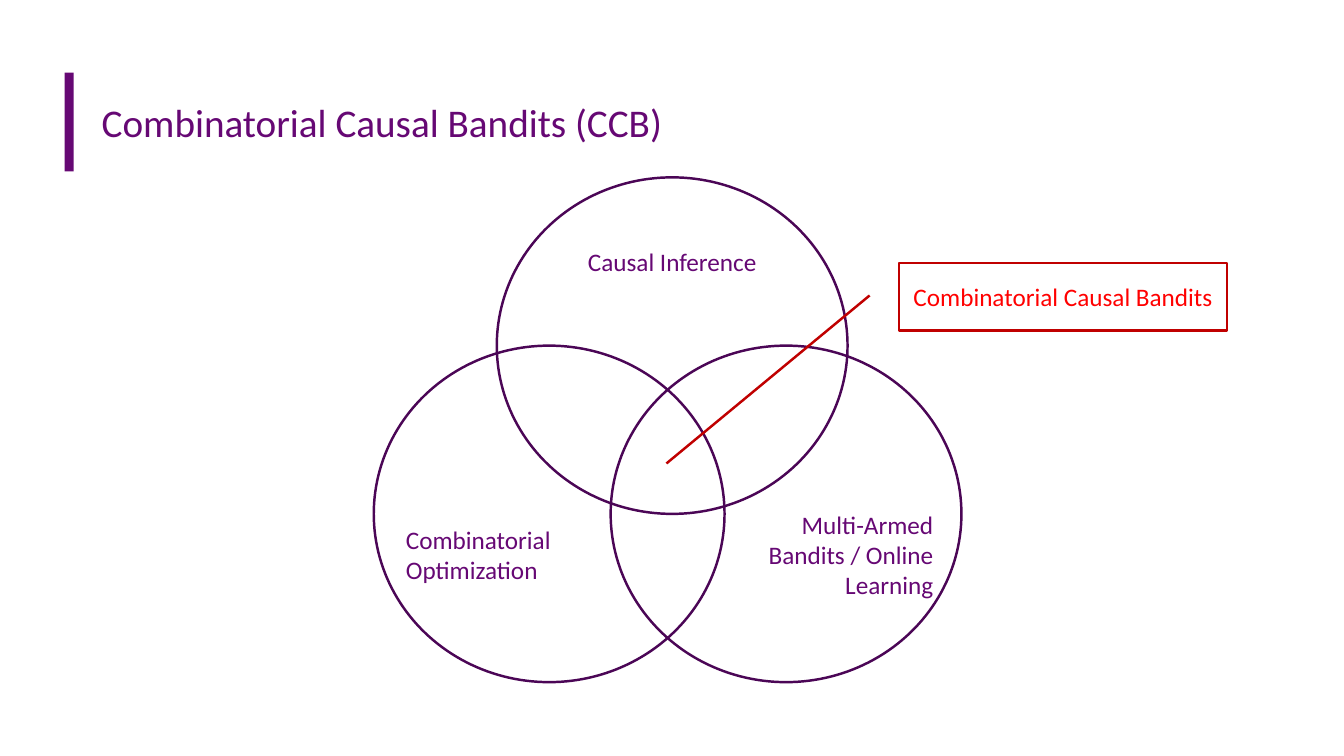
from pptx import Presentation
from pptx.dml.color import RGBColor
from pptx.enum.shapes import MSO_SHAPE as Shape
from pptx.enum.text import MSO_ANCHOR as Anchor, MSO_AUTO_SIZE as Fit, PP_ALIGN as Align
from pptx.util import Cm, Pt

PURPLE = RGBColor(0x66, 0x08, 0x74)
DARK = RGBColor(0x4B, 0x06, 0x56)
CRIMSON = RGBColor(0xC0, 0x00, 0x00)
RED = RGBColor(0xFF, 0x00, 0x00)
WHITE = RGBColor(0xFF, 0xFF, 0xFF)

FONT = "Calibri"
RINGS = [(12.52, 4.47), (9.42, 8.71), (15.39, 8.71)]
LABELS = [
    ("Causal Inference", (14.4, 6.07, 5.08, 1.02), Align.CENTER),
    ("Combinatorial Optimization", (9.98, 13.08, 5.08, 1.8), Align.LEFT),
    ("Multi-Armed Bandits / Online Learning", (18.69, 12.7, 5.08, 2.57), Align.RIGHT),
]


def lengths(box):
    return [Cm(side) for side in box]


def write(frame, text, size, color, align):
    frame.text = text
    frame.word_wrap = True
    line = frame.paragraphs[0]
    line.alignment = align
    line.font.name = FONT
    line.font.size = Pt(size)
    line.font.color.rgb = color


def add_title(slide, text):
    title = slide.shapes.title
    title.left, title.top, title.width, title.height = lengths((2.31, 1.65, 29.24, 2.82))
    write(title.text_frame, text, 28, PURPLE, Align.LEFT)
    title.text_frame.vertical_anchor = Anchor.MIDDLE


def add_form(slide, kind, box, fill=None, edge=None):
    form = slide.shapes.add_shape(kind, *lengths(box))
    form.shadow.inherit = False
    if fill is None:
        form.fill.background()
    else:
        form.fill.solid()
        form.fill.fore_color.rgb = fill
    if edge is None:
        form.line.fill.background()
    else:
        form.line.color.rgb = edge
        form.line.width = Pt(1.75)
    return form


def add_label(slide, text, box, align):
    frame = slide.shapes.add_textbox(*lengths(box)).text_frame
    write(frame, text, 18, PURPLE, align)
    frame.auto_size = Fit.SHAPE_TO_FIT_TEXT


def add_callout(slide, text, box, points):
    note = add_form(slide, Shape.LINE_CALLOUT_1, box, WHITE, CRIMSON)
    for i, point in enumerate(points):
        note.adjustments[i] = point
    write(note.text_frame, text, 18, RED, Align.CENTER)
    note.text_frame.vertical_anchor = Anchor.MIDDLE


def main():
    deck = Presentation()
    deck.slide_width, deck.slide_height = Cm(33.87), Cm(19.05)
    slide = deck.slides.add_slide(deck.slide_layouts[5])
    add_form(slide, Shape.RECTANGLE, (1.63, 1.83, 0.23, 2.49), fill=PURPLE)
    add_title(slide, "Combinatorial Causal Bandits (CCB)")
    for left, top in RINGS:
        add_form(slide, Shape.FLOWCHART_CONNECTOR, (left, top, 8.84, 8.48), edge=DARK)
    for text, box, align in LABELS:
        add_label(slide, text, box, align)
    add_callout(slide, "Combinatorial Causal Bandits",
                (22.66, 6.63, 8.26, 1.7), (0.48, -0.09, 2.97, -0.71))
    deck.save("out.pptx")


if __name__ == "__main__":
    main()
